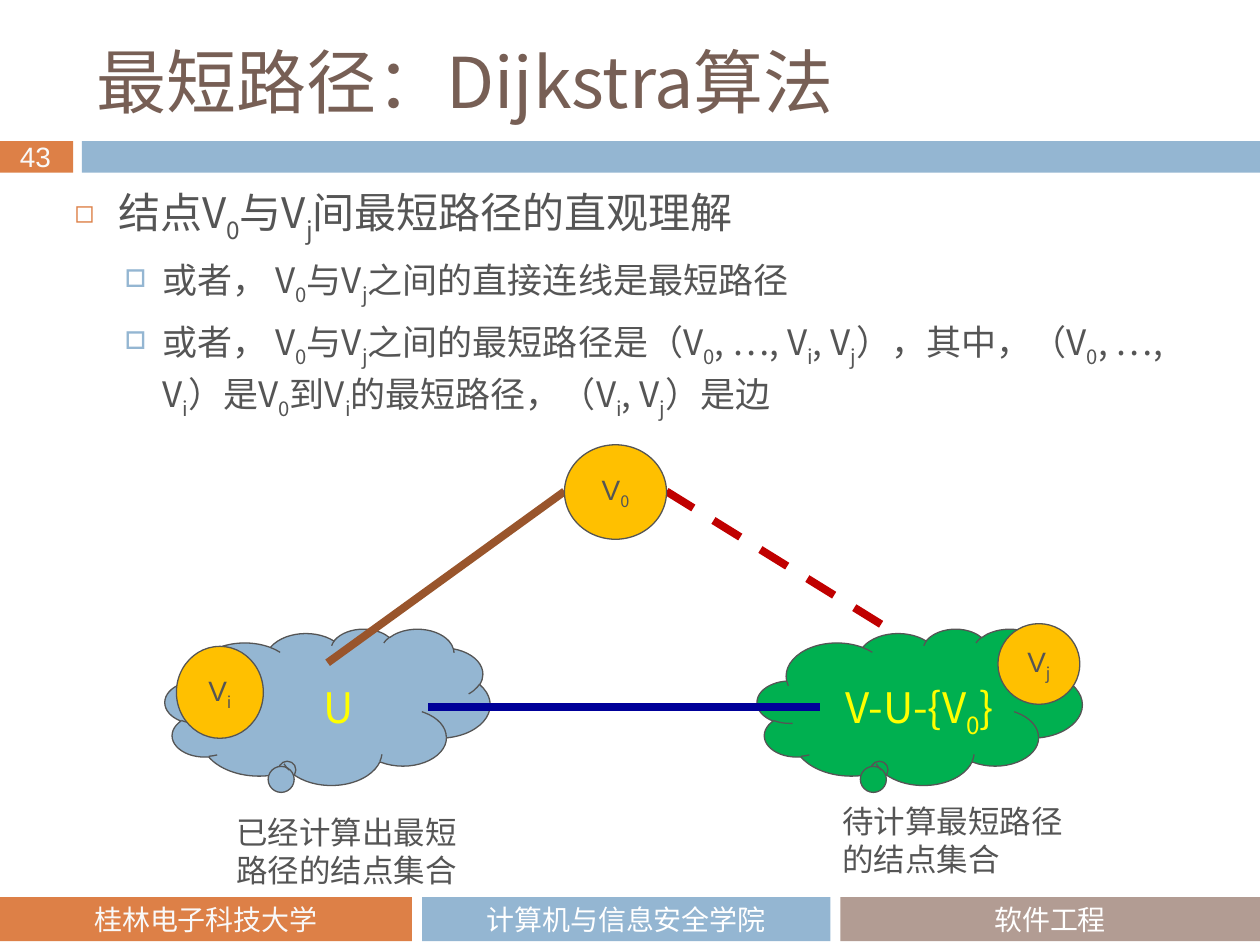
from lxml import etree
from pptx import Presentation
from pptx.dml.color import RGBColor
from pptx.enum.dml import MSO_LINE
from pptx.enum.shapes import MSO_CONNECTOR, MSO_SHAPE
from pptx.enum.text import MSO_ANCHOR as Anchor, PP_ALIGN as Align
from pptx.oxml.ns import qn
from pptx.util import Inches, Pt

SANS, TITLE_FONT = "Noto Sans CJK SC", "Noto Sans CJK JP"
ORANGE, BLUE, TAUPE, GREEN, GOLD = "DD8047", "94B6D2", "B29C93", "00B050", "FFC000"
GREY, WHITE, PALE, YELLOW = "555555", "FFFFFF", "F9F9F9", "FFFF00"

TITLE = "最短路径：Dijkstra算法"
PAGE = "43"
HEADER = [(0, 0.58, ORANGE), (0.65, 9.35, BLUE)]
FOOTER = [
    (0, 3.27, ORANGE, "桂林电子科技大学", PALE),
    (3.35, 3.24, BLUE, "计算机与信息安全学院", WHITE),
    (6.67, 3.33, TAUPE, "软件工程", WHITE),
]
BULLETS = [
    (0, "结点V_0与V_j间最短路径的直观理解"),
    (1, "或者， V_0与V_j之间的直接连线是最短路径"),
    (1, "或者， V_0与V_j之间的最短路径是（V_0, …, V_i, V_j），其中，（V_0, …, V_i）"
        "是V_0到V_i的最短路径，（V_i, V_j）是边"),
]
LEVELS = [
    dict(size=24, indent=0.35, hang=0.35, before=0, mark="◻", color=ORANGE, scale=60),
    dict(size=20, indent=0.7, hang=0.3, before=5.5, mark="□", color=BLUE, scale=70),
]
CLOUDS = [(1.31, BLUE), (6.01, GREEN)]
SET_NAMES = [((6.61, 5.36, 1.53, 0.5), "V-U-{V_0}"), ((2.47, 5.36, 0.46, 0.5), "U")]
CAPTIONS = [
    ((1.68, 6.4, 2.17, 0.71), "已经计算出最短路径的结点集合"),
    ((6.58, 6.31, 1.99, 0.71), "待计算最短路径的结点集合"),
]
CAPTION_WIDTH = 1.78
EDGES = [
    ((5.29, 3.9), (7.05, 4.99), "C00000", True),
    ((3.4, 5.61), (6.51, 5.61), "000099", False),
    ((2.6, 5.26), (4.48, 3.9), "99552C", False),
]
NODES = [
    ((4.48, 3.53, 0.81, 0.75), "V_0"),
    ((1.4, 5.13, 0.69, 0.73), "V_i"),
    ((7.92, 4.95, 0.65, 0.64), "V_j"),
]


def rgb(color):
    """Turn a hex string into a colour."""
    return RGBColor.from_string(color)


def add_run(paragraph, text, size, font, color):
    """Add one run with its Latin and East Asian font."""
    run = paragraph.add_run()
    run.text = text
    run.font.size, run.font.name = Pt(size), font
    run.font.color.rgb = rgb(color)
    properties = run.font._element
    properties.find(qn("a:latin")).addnext(
        etree.Element(qn("a:ea"), typeface=font))
    return properties


def write(paragraph, text, size, font, color):
    """Write text in which an underscore lowers the next character."""
    first, *rest = text.split("_")
    add_run(paragraph, first, size, font, color)
    for part in rest:
        add_run(paragraph, part[0], size, SANS, color).set("baseline", "-25000")
        if part[1:]:
            add_run(paragraph, part[1:], size, font, color)


def add_shape(slide, kind, box, fill, line=None):
    """Add a filled preset shape."""
    shape = slide.shapes.add_shape(kind, *map(Inches, box))
    shape.shadow.inherit = False
    shape.fill.solid()
    shape.fill.fore_color.rgb = rgb(fill)
    if line:
        shape.line.color.rgb, shape.line.width = rgb(line), Pt(0.75)
    else:
        shape.line.fill.background()
    return shape


def fill_frame(shape, text, size, font, color, align=Align.LEFT, anchor=Anchor.TOP, wrap=True):
    """Set the only paragraph of a shape."""
    frame = shape.text_frame
    frame.word_wrap, frame.vertical_anchor = wrap, anchor
    frame.paragraphs[0].alignment = align
    write(frame.paragraphs[0], text, size, font, color)
    return frame


def add_text(slide, box, *content, **layout):
    """Add a text box."""
    return fill_frame(slide.shapes.add_textbox(*map(Inches, box)), *content, **layout)


def add_bullets(slide):
    """Add the bulleted list."""
    frame = slide.shapes.add_textbox(*map(Inches, (0.49, 1.47, 9.24, 1.97))).text_frame
    frame.word_wrap = True
    for index, (depth, text) in enumerate(BULLETS):
        level = LEVELS[depth]
        paragraph = frame.add_paragraph() if index else frame.paragraphs[0]
        paragraph.level = depth
        paragraph.line_spacing, paragraph.space_before = Pt(30), Pt(level["before"])
        properties = paragraph._p.get_or_add_pPr()
        properties.set("marL", str(Inches(level["indent"])))
        properties.set("indent", str(-Inches(level["hang"])))
        bullet_color = etree.SubElement(properties, qn("a:buClr"))
        etree.SubElement(bullet_color, qn("a:srgbClr"), val=level["color"])
        etree.SubElement(properties, qn("a:buSzPct"), val=str(level["scale"] * 1000))
        etree.SubElement(properties, qn("a:buChar"), char=level["mark"])
        write(paragraph, text, level["size"], SANS, GREY)


def add_edge(slide, start, end, color, dashed):
    """Add a thick line between two points."""
    edge = slide.shapes.add_connector(MSO_CONNECTOR.STRAIGHT, *map(Inches, start + end))
    edge.line.color.rgb, edge.line.width = rgb(color), Pt(4.5)
    if dashed:
        edge.line.dash_style = MSO_LINE.DASH
    etree.SubElement(edge._element.spPr, qn("a:effectLst"))


def main():
    """Build and save the slide."""
    presentation = Presentation()
    presentation.slide_width, presentation.slide_height = Inches(10), Inches(7.5)
    slide = presentation.slides.add_slide(presentation.slide_layouts[6])

    for left, width, fill in HEADER:
        add_shape(slide, MSO_SHAPE.RECTANGLE, (left, 1.12, width, 0.25), fill)
    for left, width, fill, text, color in FOOTER:
        bar = add_shape(slide, MSO_SHAPE.RECTANGLE, (left, 7.12, width, 0.35), fill)
        fill_frame(bar, text, 16, "Calibri", color, Align.CENTER, Anchor.MIDDLE)
    add_text(slide, (0.06, 1.06, 0.48, 0.37), PAGE, 16, "Arial", PALE, wrap=False)
    add_text(slide, (0.67, 0.25, 8.92, 0.78), TITLE, 40, TITLE_FONT, "775F55",
             anchor=Anchor.MIDDLE)
    add_bullets(slide)

    for left, fill in CLOUDS:
        cloud = add_shape(slide, MSO_SHAPE.CLOUD_CALLOUT, (left, 4.99, 2.58, 1.24), fill, GREY)
        cloud.adjustments[0], cloud.adjustments[1] = -0.12, 0.39
    for box, text in SET_NAMES:
        add_text(slide, box, text, 24, SANS, YELLOW, wrap=False)
    for edge in EDGES:
        add_edge(slide, *edge)
    for box, text in NODES:
        node = add_shape(slide, MSO_SHAPE.OVAL, box, GOLD, GREY)
        fill_frame(node, text, 16, "Arial", GREY, Align.CENTER, Anchor.MIDDLE, wrap=False)
    for box, text in CAPTIONS:
        frame = add_text(slide, box, text, 18, SANS, GREY, anchor=Anchor.MIDDLE)
        frame.margin_left = frame.margin_right = Inches((box[2] - CAPTION_WIDTH) / 2)

    presentation.save("out.pptx")


if __name__ == "__main__":
    main()
